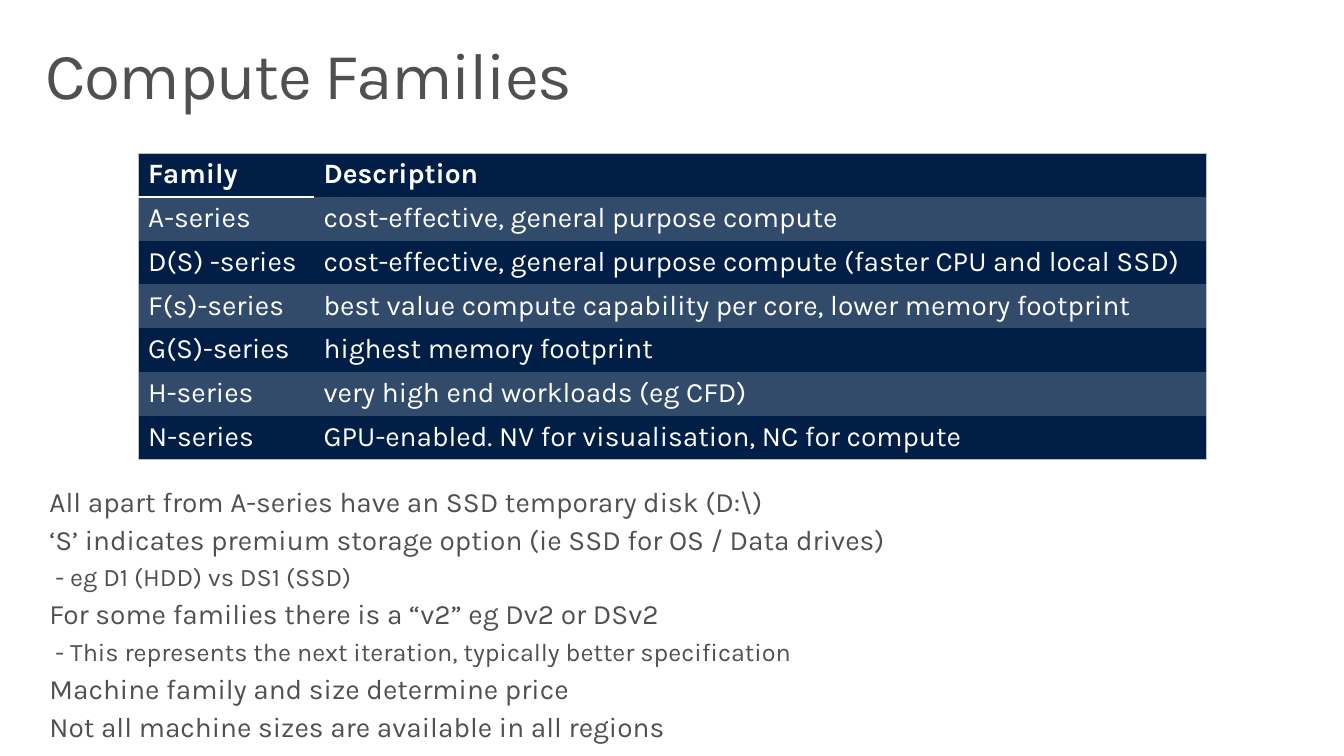
"""Build the Compute Families slide."""
from pptx import Presentation
from pptx.dml.color import RGBColor
from pptx.enum.text import MSO_ANCHOR
from pptx.oxml import parse_xml
from pptx.oxml.ns import nsdecls, qn
from pptx.util import Inches, Pt

TITLE = "Compute Families"
FAMILIES = [
    ("Family", "Description"),
    ("A-series", "cost-effective, general purpose compute"),
    ("D(S) -series", "cost-effective, general purpose compute (faster CPU and local SSD)"),
    ("F(s)-series", "best value compute capability per core, lower memory footprint"),
    ("G(S)-series", "highest memory footprint"),
    ("H-series", "very high end workloads (eg CFD)"),
    ("N-series", "GPU-enabled. NV for visualisation, NC for compute"),
]
NOTES = [
    (0, "All apart from A-series have an SSD temporary disk (D:\\)"),
    (0, "‘S’ indicates premium storage option (ie SSD for OS / Data drives)"),
    (1, "- eg D1 (HDD) vs DS1 (SSD)"),
    (0, "For some families there is a “v2” eg Dv2 or DSv2"),
    (1, "- This represents the next iteration, typically better specification"),
    (0, "Machine family and size determine price"),
    (0, "Not all machine sizes are available in all regions"),
]
NOTE_SIZES = (20, 18)
SUB_INDENT = 0.06
COLUMN_WIDTHS = (1.74, 8.86)
ROW_HEIGHT = 0.43
BAND_FILLS = ("001E46", "334B6B")
GREY, WHITE, EDGE = "505050", "FFFFFF", "BDBDC2"
PLAIN_TABLE = "{2D5ABB26-0587-4C30-8999-92F81FD0307C}"


def colour(value):
    return RGBColor.from_string(value)


def write(para, text, size, ink, bold=False):
    span = para.add_run()
    span.text = text
    span.font.color.rgb = colour(ink)
    for name, value in {"name": "Karla", "size": Pt(size), "bold": bold}.items():
        setattr(span.font, name, value)
    return span


def add_box(page, left, top, width, height, side, edge):
    frame = page.shapes.add_textbox(*map(Inches, (left, top, width, height))).text_frame
    settings = {
        "word_wrap": True, "vertical_anchor": MSO_ANCHOR.TOP,
        "margin_left": Inches(side), "margin_right": Inches(side),
        "margin_top": Inches(edge), "margin_bottom": Inches(edge),
    }
    for name, value in settings.items():
        setattr(frame, name, value)
    return frame


def add_border(cell, side, ink, points):
    cell._tc.get_or_add_tcPr().append(parse_xml(
        f'<a:ln{side} {nsdecls("a")} w="{Pt(points)}"><a:solidFill>'
        f'<a:srgbClr val="{ink}"/></a:solidFill></a:ln{side}>'))


def add_families(page):
    table = page.shapes.add_table(
        len(FAMILIES), len(COLUMN_WIDTHS), Inches(1.37), Inches(1.52),
        Inches(sum(COLUMN_WIDTHS)), Inches(ROW_HEIGHT * len(FAMILIES))).table
    table._tbl.tblPr.find(qn("a:tableStyleId")).text = PLAIN_TABLE
    for column, width in zip(table.columns, COLUMN_WIDTHS):
        column.width = Inches(width)
    last_row, last_column = len(FAMILIES) - 1, len(COLUMN_WIDTHS) - 1
    for r, texts in enumerate(FAMILIES):
        table.rows[r].height = Inches(ROW_HEIGHT)
        for c, text in enumerate(texts):
            cell = table.cell(r, c)
            edges = {"L": c == 0, "R": c == last_column, "T": r == 0, "B": r == last_row}
            for side, outer in edges.items():
                if outer:
                    add_border(cell, side, EDGE, 0.75)
            if r == 0 and c == 0:
                add_border(cell, "B", WHITE, 1.35)
            cell.fill.solid()
            cell.fill.fore_color.rgb = colour(BAND_FILLS[r % 2])
            write(cell.text_frame.paragraphs[0], text, 20, WHITE, bold=r == 0)


def add_notes(page):
    frame = add_box(page, 0.29, 4.68, 12.39, 2.92, 0.2, 0.16)
    for index, (level, text) in enumerate(NOTES):
        para = frame.add_paragraph() if index else frame.paragraphs[0]
        para.line_spacing, para.space_after = 0.9, Pt(6)
        if level:
            para._p.get_or_add_pPr().set("marL", str(Inches(SUB_INDENT)))
        write(para, text, NOTE_SIZES[level], GREY)


def main():
    deck = Presentation()
    deck.slide_width, deck.slide_height = Inches(13.33), Inches(7.5)
    page = deck.slides.add_slide(deck.slide_layouts[6])
    heading = add_box(page, 0.29, 0.32, 12.75, 0.98, 0.16, 0.1).paragraphs[0]
    heading.line_spacing = 0.9
    span = write(heading, TITLE, 47, GREY)
    span.font._element.set("spc", "-100")
    add_families(page)
    add_notes(page)
    deck.save("out.pptx")


if __name__ == "__main__":
    main()
